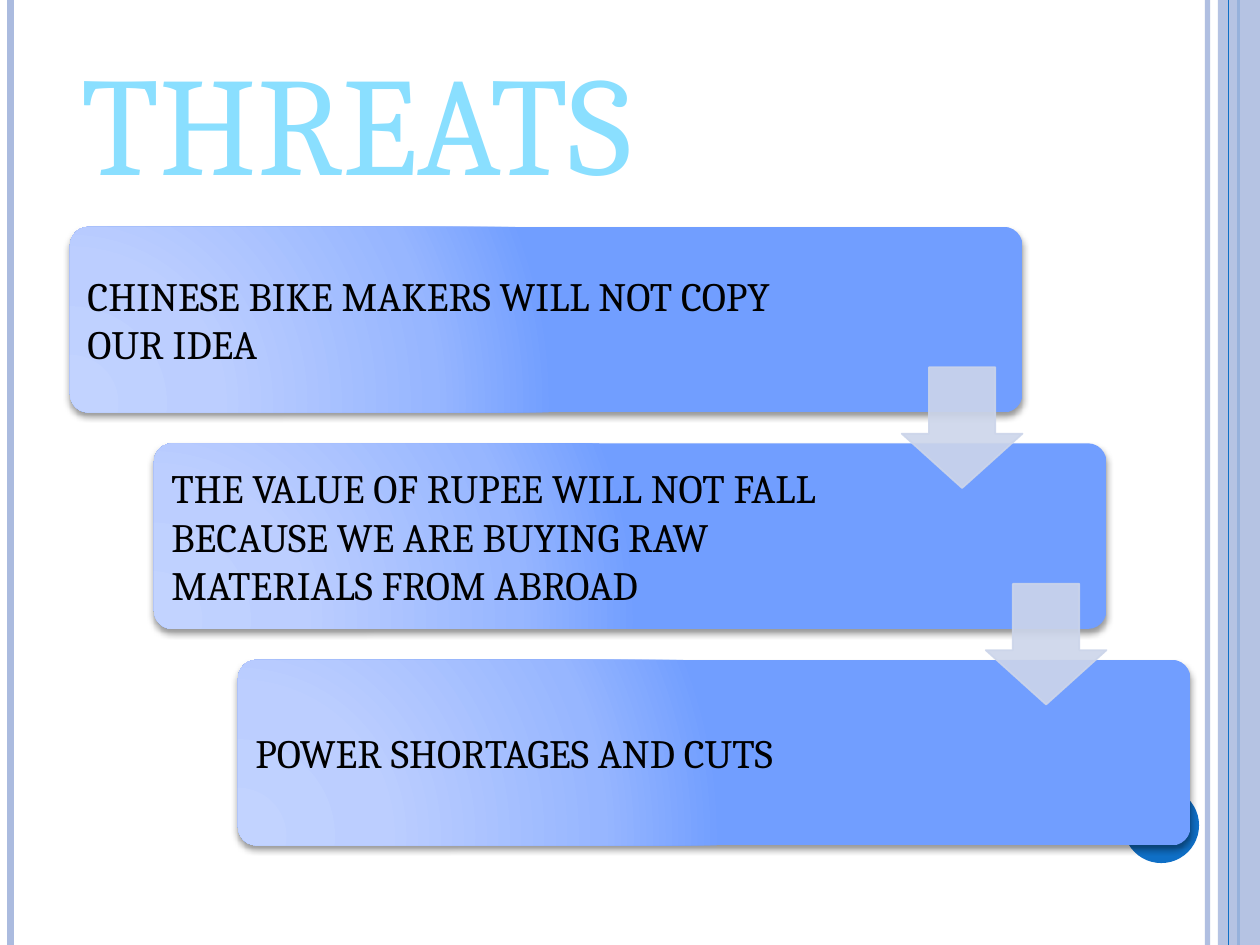
from lxml import etree
from pptx import Presentation
from pptx.dml.color import RGBColor
from pptx.enum.shapes import MSO_CONNECTOR, MSO_SHAPE as SHAPE
from pptx.enum.text import MSO_ANCHOR, PP_ALIGN
from pptx.oxml import parse_xml
from pptx.oxml.ns import nsdecls, qn
from pptx.util import Pt

W, H = 720, 540
FONT = "Cambria"
BLACK = RGBColor(0, 0, 0)
BLUE = RGBColor(0x0F, 0x6F, 0xC6)
LAVENDER = RGBColor(0xAB, 0xBB, 0xDF)
ARROW = RGBColor(0xCC, 0xD5, 0xEA)
SKY = RGBColor(0x8A, 0xDF, 0xFF)
TEAL = RGBColor(0x00, 0x9D, 0xD9)
CARD_STOPS = [(0, RGBColor(0xC2, 0xD3, 0xFF)), (30, RGBColor(0xBC, 0xCE, 0xFF)),
              (75, RGBColor(0x97, 0xB6, 0xFF)), (100, RGBColor(0x71, 0x9E, 0xFF))]
THREATS = [
    ("CHINESE BIKE MAKERS WILL NOT COPY OUR IDEA", 429),
    ("THE VALUE OF RUPEE WILL NOT FALL BECAUSE WE ARE BUYING RAW MATERIALS FROM ABROAD", 420.5),
    ("POWER SHORTAGES AND CUTS", 420.5),
]


def set_alpha(parent, percent):
    for color in parent.iter(qn("a:srgbClr")):
        etree.SubElement(color, qn("a:alpha")).set("val", str(percent * 1000))


def add_shape(s, kind, x, y, w, h, color=None, alpha=100):
    sp = s.shapes.add_shape(kind, Pt(x), Pt(y), Pt(w), Pt(h))
    sp.shadow.inherit = False
    sp.line.fill.background()
    if color is not None:
        sp.fill.solid()
        sp.fill.fore_color.rgb = color
        if alpha < 100:
            set_alpha(sp.fill._xPr, alpha)
    return sp


def add_rule(s, x, y, h, color, width, alpha=100):
    line = s.shapes.add_connector(MSO_CONNECTOR.STRAIGHT, Pt(x), Pt(y), Pt(x), Pt(y + h))
    line.line.color.rgb = color
    line.line.width = Pt(width)
    spPr = line._element.spPr
    if alpha < 100:
        set_alpha(spPr, alpha)
    etree.SubElement(spPr, qn("a:effectLst"))


def add_text(s, text, x, y, w, h, size, color, anchor=MSO_ANCHOR.TOP, inset=None):
    tf = s.shapes.add_textbox(Pt(x), Pt(y), Pt(w), Pt(h)).text_frame
    tf.word_wrap = True
    tf.vertical_anchor = anchor
    if inset is not None:
        tf.margin_left = tf.margin_top = tf.margin_right = tf.margin_bottom = Pt(inset)
    p = tf.paragraphs[0]
    p.alignment = PP_ALIGN.LEFT
    r = p.add_run()
    r.text = text
    r.font.name, r.font.size = FONT, Pt(size)
    r.font.color.rgb = color
    return r


def add_frame(s, x, y, w, h):
    # Side rules, right band and corner dot
    right = x + w
    add_rule(s, right - 30, y, h, LAVENDER, 3, 93)
    add_rule(s, x + 6, y, h, LAVENDER, 4.5)
    add_rule(s, right - 12.4, y, h, BLUE, 1.5)
    add_shape(s, SHAPE.RECTANGLE, right - 24, y, 24, h, LAVENDER, 87)
    add_rule(s, right - 18, y, h, BLUE, 0.75)
    add_shape(s, SHAPE.OVAL, right - 78, y + h - 90, 43.2, 43.2, BLUE)


def add_card(s, text, text_w, x, y, w, h):
    sp = add_shape(s, SHAPE.ROUNDED_RECTANGLE, x, y, w, h)
    sp.adjustments[0] = 0.1
    stops = "".join(f'<a:gs pos="{pos * 1000}"><a:srgbClr val="{color}"/></a:gs>'
                    for pos, color in CARD_STOPS)
    gradient = parse_xml(
        f'<a:gradFill {nsdecls("a")} rotWithShape="1"><a:gsLst>{stops}</a:gsLst>'
        '<a:path path="circle"><a:fillToRect l="5000" t="100000" r="120000" b="10000"/>'
        '</a:path></a:gradFill>')
    spPr = sp._element.spPr
    spPr.find(qn("a:prstGeom")).addnext(gradient)
    spPr.find(qn("a:effectLst")).append(parse_xml(
        f'<a:outerShdw {nsdecls("a")} blurRad="{Pt(4)}" dist="{Pt(2)}" dir="5400000" '
        'rotWithShape="0"><a:srgbClr val="000000"><a:alpha val="40000"/></a:srgbClr>'
        '</a:outerShdw>'))
    add_text(s, text, x + 3, y + 3, text_w, h - 6, 23, BLACK, MSO_ANCHOR.MIDDLE, 7)


def add_arrow(s, x, y, size):
    sp = add_shape(s, SHAPE.DOWN_ARROW, x, y, size, size, ARROW, 90)
    sp.adjustments[0], sp.adjustments[1] = 0.55, 0.45
    sp.line.color.rgb = ARROW
    sp.line.width = Pt(1)
    set_alpha(sp.line._ln, 90)


def add_staircase(s, x, y, w, h):
    # Cards step down to the right, joined by arrows
    card_w, card_h, arrow = 544.3, 106.1, 69
    n = len(THREATS)
    dx, dy = (w - card_w) / (n - 1), (h - card_h) / (n - 1)
    for i, (text, text_w) in enumerate(THREATS):
        add_card(s, text, text_w, x + i * dx, y + i * dy, card_w, card_h)
    for i in range(n - 1):
        add_arrow(s, x + i * dx + card_w - arrow, y + i * dy + 80.3, arrow)


def add_title(s, text, x, y, w, h):
    r = add_text(s, text, x, y, w, h, 80, SKY)
    r.font._element.insert(0, parse_xml(
        f'<a:ln {nsdecls("a")} w="{Pt(1.75)}"><a:solidFill><a:srgbClr val="{TEAL}"/>'
        '</a:solidFill></a:ln>'))


prs = Presentation()
prs.slide_width, prs.slide_height = Pt(W), Pt(H)
s = prs.slides.add_slide(prs.slide_layouts[6])
add_frame(s, 0, 0, W, H)
add_staircase(s, 40, 129.6, 640.3, 353.5)
add_title(s, "THREATS", 39.6, 16.6, 584, 104.4)
prs.save("out.pptx")
